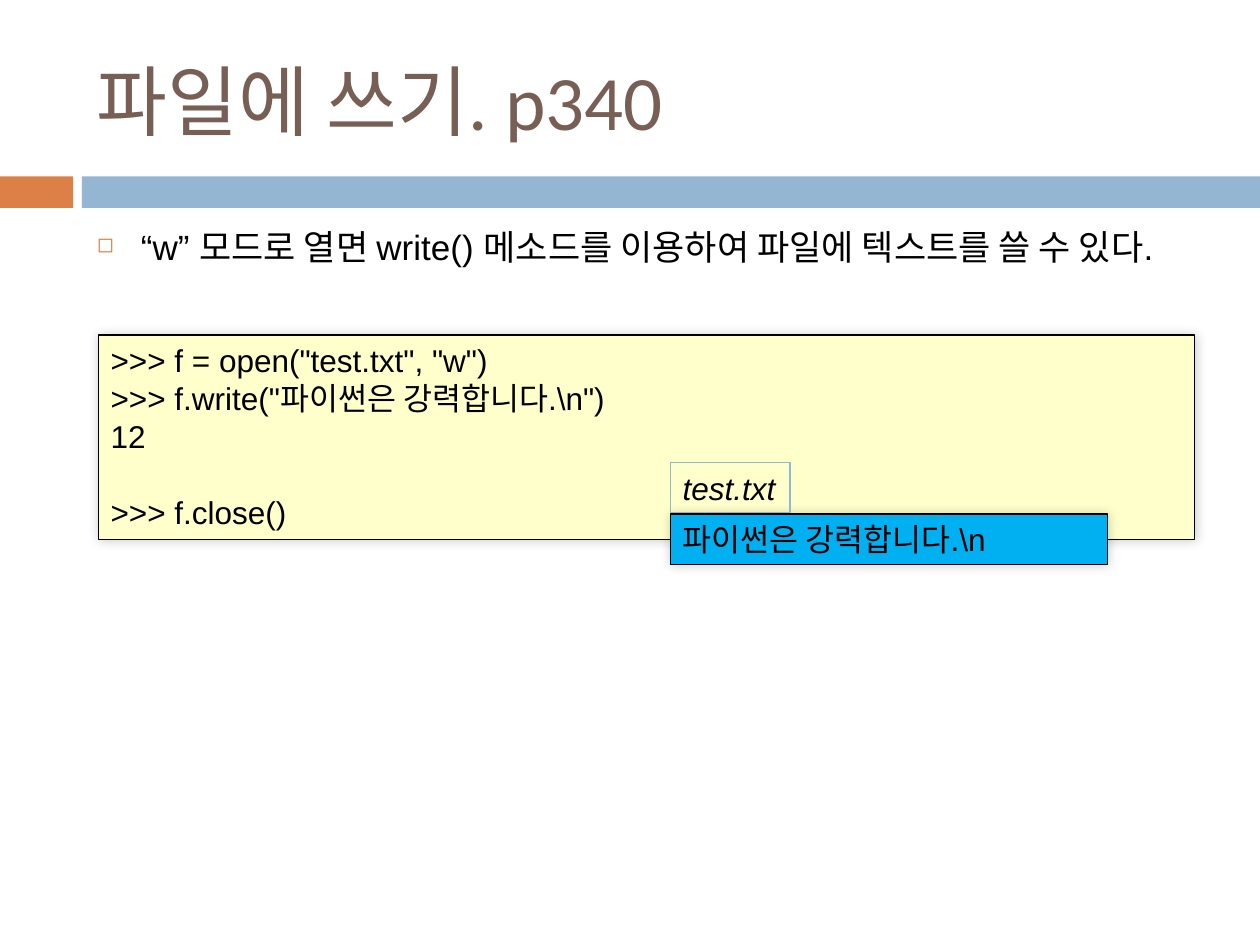
from dataclasses import dataclass

from lxml.etree import SubElement
from pptx import Presentation
from pptx.dml.color import RGBColor
from pptx.enum.shapes import MSO_SHAPE
from pptx.enum.text import MSO_ANCHOR, PP_ALIGN
from pptx.oxml.ns import qn
from pptx.util import Inches, Pt


@dataclass(frozen=True)
class Theme:
    orange: str = "DD8047"
    blue: str = "94B6D2"
    brown: str = "775F55"
    black: str = "000000"
    code_fill: str = "FFFFCC"
    file_fill: str = "00B0F0"
    title_font: str = "Calibri"
    body_font: str = "Arial"
    title_size: int = 44
    bullet_size: int = 20
    code_size: int = 18
    code_line: float = 21.6


class SlideBuilder:
    def __init__(self, page, theme):
        self.page = page
        self.theme = theme

    def rectangle(self, left, top, width, height, fill=None, line=None):
        box = self.page.shapes.add_shape(
            MSO_SHAPE.RECTANGLE, Inches(left), Inches(top), Inches(width), Inches(height))
        box.shadow.inherit = False
        if fill:
            box.fill.solid()
            box.fill.fore_color.rgb = RGBColor.from_string(fill)
        else:
            box.fill.background()
        if line:
            box.line.color.rgb = RGBColor.from_string(line)
            box.line.width = Pt(0.75)
        else:
            box.line.fill.background()
        return box

    def soft_shadow(self, box):
        effects = box._element.spPr.find(qn("a:effectLst"))
        shadow = SubElement(effects, qn("a:outerShdw"), blurRad=str(Pt(6)), dist="0",
                            dir=str(315 * 60000), algn="ctr", rotWithShape="0")
        color = SubElement(shadow, qn("a:srgbClr"), val=self.theme.black)
        SubElement(color, qn("a:alpha"), val="20000")

    def style(self, para, size, color=None, font=None, italic=None):
        para.alignment = PP_ALIGN.LEFT
        para.font.size = Pt(size)
        para.font.name = font or self.theme.body_font
        para.font.color.rgb = RGBColor.from_string(color or self.theme.black)
        para.font.italic = italic

    def code_box(self, place, lines, fill=None, line=None, shadow=True, wrap=True, italic=None):
        """Add a box of code; each line is (text, number of empty lines above)."""
        box = self.rectangle(*place, fill, line or self.theme.black)
        if shadow:
            self.soft_shadow(box)
        frame = box.text_frame
        frame.word_wrap = wrap
        frame.vertical_anchor = MSO_ANCHOR.TOP
        for index, (text, gap) in enumerate(lines):
            para = frame.add_paragraph() if index else frame.paragraphs[0]
            para.text = text
            para.space_before = Pt(gap * self.theme.code_line)
            self.style(para, self.theme.code_size, italic=italic)

    def text_box(self, place, text, anchor=MSO_ANCHOR.TOP):
        box = self.page.shapes.add_textbox(*(Inches(value) for value in place))
        box.text_frame.word_wrap = True
        box.text_frame.vertical_anchor = anchor
        para = box.text_frame.paragraphs[0]
        para.text = text
        return para

    def title(self, place, text):
        para = self.text_box(place, text, MSO_ANCHOR.MIDDLE)
        self.style(para, self.theme.title_size, self.theme.brown, self.theme.title_font)

    def bullet(self, place, text):
        para = self.text_box(place, text)
        para.space_before = Pt(7)
        properties = para._p.get_or_add_pPr()
        properties.set("marL", str(Inches(0.35)))
        properties.set("indent", str(Inches(-0.35)))
        color = SubElement(properties, qn("a:buClr"))
        SubElement(color, qn("a:srgbClr"), val=self.theme.orange)
        SubElement(properties, qn("a:buSzPct"), val="60000")
        SubElement(properties, qn("a:buChar"), char="◻")
        self.style(para, self.theme.bullet_size)


def main():
    deck = Presentation()
    deck.slide_width, deck.slide_height = Inches(10), Inches(7.5)
    theme = Theme()
    slide = SlideBuilder(deck.slides.add_slide(deck.slide_layouts[6]), theme)

    slide.rectangle(0, 1.4, 0.58, 0.25, theme.orange)
    slide.rectangle(0.65, 1.4, 9.35, 0.25, theme.blue)
    slide.title((0.67, 0.25, 8.92, 1.08), "파일에 쓰기. p340")

    session = [
        ('>>> f = open("test.txt", "w")', 0),
        ('>>> f.write("파이썬은 강력합니다.\\n")', 0),
        ("12", 0),
        (">>> f.close()", 1),
    ]
    slide.code_box((0.78, 2.66, 8.7, 1.62), session, theme.code_fill)
    slide.code_box((5.32, 4.08, 3.47, 0.4), [("파이썬은 강력합니다.\\n", 0)], theme.file_fill)
    slide.code_box((5.32, 3.67, 0.95, 0.4), [("test.txt", 0)], line=theme.blue,
                   shadow=False, wrap=False, italic=True)
    slide.bullet((0.67, 1.74, 8.92, 5.01),
                 "“w” 모드로 열면 write() 메소드를 이용하여 파일에 텍스트를 쓸 수 있다.")

    deck.save("out.pptx")


if __name__ == "__main__":
    main()
